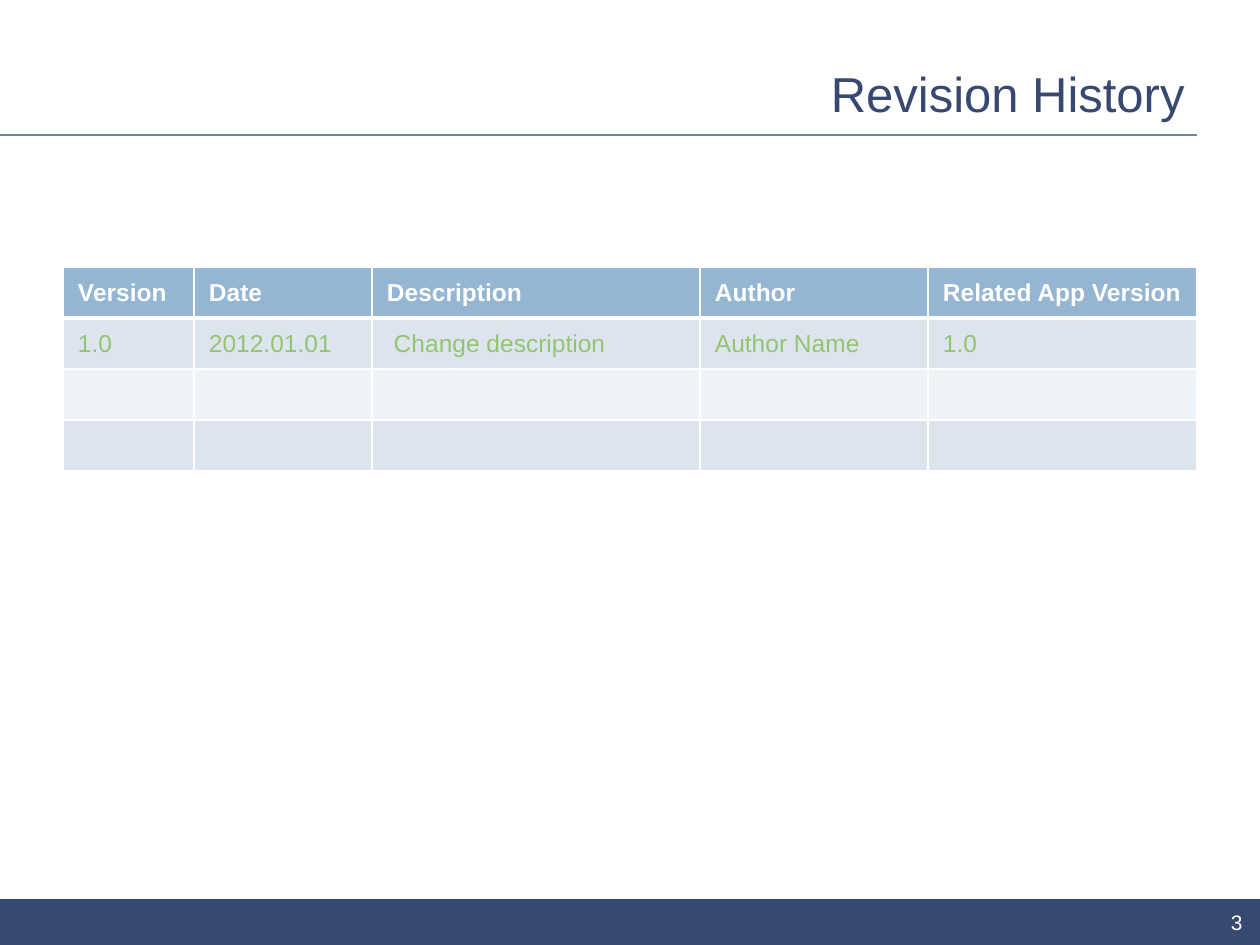
from typing import Any, NamedTuple

from lxml.etree import SubElement
from pptx import Presentation
from pptx.dml.color import RGBColor
from pptx.enum.shapes import MSO_CONNECTOR, MSO_SHAPE
from pptx.enum.text import MSO_ANCHOR as Anchor, PP_ALIGN as Align
from pptx.oxml.ns import qn
from pptx.util import Emu, Pt

PX_PER_INCH = 126
NAVY = RGBColor(0x37, 0x49, 0x71)
SLATE = RGBColor(0x6D, 0x87, 0x9C)
WHITE = RGBColor(0xFF, 0xFF, 0xFF)
GREEN = RGBColor(0x94, 0xC4, 0x6F)
HEADER_BLUE = RGBColor(0x94, 0xB6, 0xD2)
BAND_DARK = RGBColor(0xDC, 0xE5, 0xEE)
BAND_LIGHT = RGBColor(0xEE, 0xF3, 0xF7)


class TextStyle(NamedTuple):
    size: int
    color: RGBColor
    bold: bool = False
    align: Align = Align.LEFT


class Column(NamedTuple):
    heading: str
    value: str
    width: int


class RowStyle(NamedTuple):
    fill: RGBColor
    text: TextStyle
    bottom_border: int = 1


TITLE_STYLE = TextStyle(28, NAVY, align=Align.RIGHT)
NUMBER_STYLE = TextStyle(12, WHITE, align=Align.RIGHT)
HEADER_STYLE = TextStyle(14, WHITE, bold=True)
BODY_STYLE = TextStyle(14, GREEN)

COLUMNS = [
    Column("Version", "1.0", 131),
    Column("Date", "2012.01.01", 178),
    Column("Description", " Change description", 328),
    Column("Author", "Author Name", 228),
    Column("Related App Version", "1.0", 269),
]
ROWS = [
    RowStyle(HEADER_BLUE, HEADER_STYLE, bottom_border=3),
    RowStyle(BAND_DARK, BODY_STYLE),
    RowStyle(BAND_LIGHT, BODY_STYLE),
    RowStyle(BAND_DARK, BODY_STYLE),
]
ROW_HEIGHT = 51


def px(length: int) -> Emu:
    return Emu(round(length * 914400 / PX_PER_INCH))


def box(*lengths: int) -> list[Emu]:
    return [px(length) for length in lengths]


def write_text(frame: Any, text: str, style: TextStyle) -> None:
    paragraph = frame.paragraphs[0]
    paragraph.alignment = style.align
    run = paragraph.add_run()
    run.text = text
    font_format = {"name": "Arial", "size": Pt(style.size), "bold": style.bold}
    for name, value in font_format.items():
        setattr(run.font, name, value)
    run.font.color.rgb = style.color


def add_title(slide: Any, text: str) -> None:
    title = slide.shapes.title
    title.left, title.top, title.width, title.height = box(63, 50, 1134, 85)
    title.text_frame.vertical_anchor = Anchor.MIDDLE
    write_text(title.text_frame, text, TITLE_STYLE)


def add_title_rule(slide: Any) -> None:
    rule = slide.shapes.add_connector(MSO_CONNECTOR.STRAIGHT, *box(0, 135, 1197, 135))
    rule.line.color.rgb = SLATE
    rule.line.width = Pt(1)
    SubElement(rule._element.spPr, qn("a:effectLst"))


def add_footer(slide: Any, number: str) -> None:
    band = slide.shapes.add_shape(MSO_SHAPE.RECTANGLE, *box(0, 899, 1260, 46))
    band.shadow.inherit = False
    band.fill.solid()
    band.fill.fore_color.rgb = NAVY
    band.line.fill.background()
    frame = slide.shapes.add_textbox(*box(971, 909, 284, 27)).text_frame
    frame.word_wrap = True
    frame.vertical_anchor = Anchor.MIDDLE
    write_text(frame, number, NUMBER_STYLE)


def add_borders(cell: Any, bottom: int, top: int) -> None:
    """Draw white cell borders; must run before the cell is filled."""
    properties = cell._tc.get_or_add_tcPr()
    for side, width in {"L": 1, "R": 1, "T": top, "B": bottom}.items():
        line = SubElement(properties, qn(f"a:ln{side}"), w=str(Pt(width)))
        fill = SubElement(line, qn("a:solidFill"))
        SubElement(fill, qn("a:srgbClr"), val=str(WHITE))


def add_revision_table(slide: Any) -> None:
    width = sum(column.width for column in COLUMNS)
    table = slide.shapes.add_table(
        len(ROWS), len(COLUMNS), *box(63, 267, width, ROW_HEIGHT * len(ROWS))
    ).table
    cell_format = {
        "vertical_anchor": Anchor.MIDDLE,
        "margin_left": px(15),
        "margin_right": px(13),
        "margin_top": px(6),
        "margin_bottom": px(6),
    }
    for column_index, column in enumerate(COLUMNS):
        table.columns[column_index].width = px(column.width)
        texts = [column.heading, column.value]
        top_border = 1
        for row_index, row in enumerate(ROWS):
            cell = table.cell(row_index, column_index)
            for name, value in cell_format.items():
                setattr(cell, name, value)
            add_borders(cell, row.bottom_border, top_border)
            top_border = row.bottom_border
            cell.fill.solid()
            cell.fill.fore_color.rgb = row.fill
            if row_index < len(texts):
                write_text(cell.text_frame, texts[row_index], row.text)


def main() -> None:
    presentation = Presentation()
    presentation.slide_width, presentation.slide_height = box(1260, 945)
    slide = presentation.slides.add_slide(presentation.slide_layouts[5])
    add_footer(slide, "3")
    add_title_rule(slide)
    add_title(slide, "Revision History")
    add_revision_table(slide)
    presentation.save("out.pptx")


if __name__ == "__main__":
    main()
